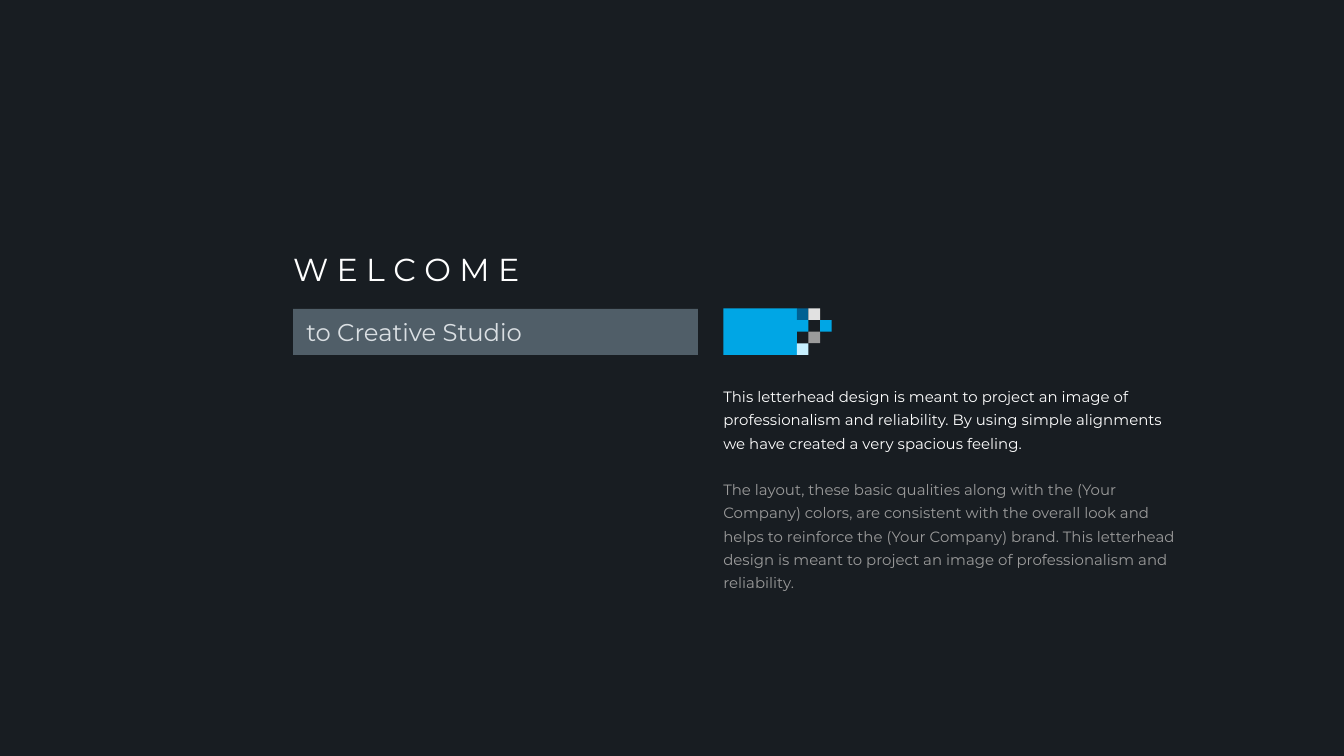
"""Build the dark welcome slide with its title, banner, pixel ornament and body text."""
from dataclasses import dataclass

from pptx import Presentation
from pptx.dml.color import RGBColor
from pptx.enum.shapes import MSO_SHAPE
from pptx.enum.text import MSO_ANCHOR, PP_ALIGN
from pptx.util import Cm, Pt


@dataclass(frozen=True)
class Theme:
    font: str = "Montserrat"
    background: str = "181D22"
    banner: str = "505E68"
    white: str = "FFFFFF"
    subtitle: str = "DADFE3"
    gray: str = "9B9B9B"
    light_gray: str = "E1E1E1"
    blue: str = "00A6E5"
    dark_blue: str = "006092"
    pale_blue: str = "C7F0FF"
    title_size: float = 17
    subtitle_size: float = 13
    body_size: float = 8


def write_text(paragraph, text, *, font, size, color, line_spacing=1.0, space_before=0):
    paragraph.alignment = PP_ALIGN.LEFT
    paragraph.line_spacing = line_spacing
    paragraph.space_before = Pt(space_before)
    run = paragraph.add_run()
    run.text = text
    run.font.name = font
    run.font.size = Pt(size)
    run.font.color.rgb = RGBColor.from_string(color)


class SlideBuilder:
    def __init__(self, slide, theme):
        self.slide = slide
        self.theme = theme
        fill = slide.background.fill
        fill.solid()
        fill.fore_color.rgb = RGBColor.from_string(theme.background)

    def rectangle(self, left, top, width, height, color, group=None):
        shapes = (group or self.slide).shapes
        shape = shapes.add_shape(
            MSO_SHAPE.RECTANGLE, Cm(left), Cm(top), Cm(width), Cm(height)
        )
        shape.shadow.inherit = False
        shape.fill.solid()
        shape.fill.fore_color.rgb = RGBColor.from_string(color)
        shape.line.fill.background()

    def text(self, left, top, width, height, entries, size, **text_format):
        box = self.slide.shapes.add_textbox(Cm(left), Cm(top), Cm(width), Cm(height))
        frame = box.text_frame
        frame.word_wrap = True
        frame.vertical_anchor = MSO_ANCHOR.MIDDLE
        frame.margin_left = frame.margin_right = 0
        frame.margin_top = frame.margin_bottom = 0
        gap = text_format.pop("gap", 0)
        for index, (text, color) in enumerate(entries):
            paragraph = frame.add_paragraph() if index else frame.paragraphs[0]
            write_text(
                paragraph, text, font=self.theme.font, size=size, color=color,
                space_before=gap if index else 0, **text_format,
            )

    def pixel_ornament(self, left, top, block_width, cell, pixels):
        group = self.slide.shapes.add_group_shape()
        self.rectangle(left, top, block_width, 4 * cell, self.theme.blue, group)
        for column, row, color in pixels:
            self.rectangle(
                left + block_width + column * cell, top + row * cell,
                cell, cell, color, group,
            )


def main():
    theme = Theme()
    presentation = Presentation()
    presentation.slide_width = Cm(25.4)
    presentation.slide_height = Cm(14.29)
    slide = presentation.slides.add_slide(presentation.slide_layouts[6])
    builder = SlideBuilder(slide, theme)

    title_left, body_left = 5.54, 13.67
    builder.rectangle(title_left, 5.84, 7.65, 0.87, theme.banner)
    builder.text(
        title_left, 4.67, 6.93, 0.84, [("W E L C O M E", theme.white)], theme.title_size
    )
    builder.text(
        title_left + 0.25, 5.92, 4.93, 0.69,
        [("to Creative Studio", theme.subtitle)], theme.subtitle_size,
    )
    body = [
        (
            "This letterhead design is meant to project an image of professionalism "
            "and reliability. By using simple alignments we have created a very "
            "spacious feeling.",
            theme.white,
        ),
        (
            "The layout, these basic qualities along with the (Your Company) colors, "
            "are consistent with the overall look and helps to reinforce the (Your "
            "Company) brand. This letterhead design is meant to project an image of "
            "professionalism and reliability.",
            theme.gray,
        ),
    ]
    builder.text(
        body_left, 7.54, 8.66, 3.33, body, theme.body_size, line_spacing=1.3, gap=12.5
    )
    pixels = [
        (0, 0, theme.dark_blue),
        (1, 0, theme.light_gray),
        (0, 1, theme.blue),
        (1, 2, theme.gray),
        (0, 3, theme.pale_blue),
        (2, 1, theme.blue),
    ]
    builder.pixel_ornament(body_left, 5.83, 1.39, 0.22, pixels)
    presentation.save("out.pptx")


if __name__ == "__main__":
    main()
